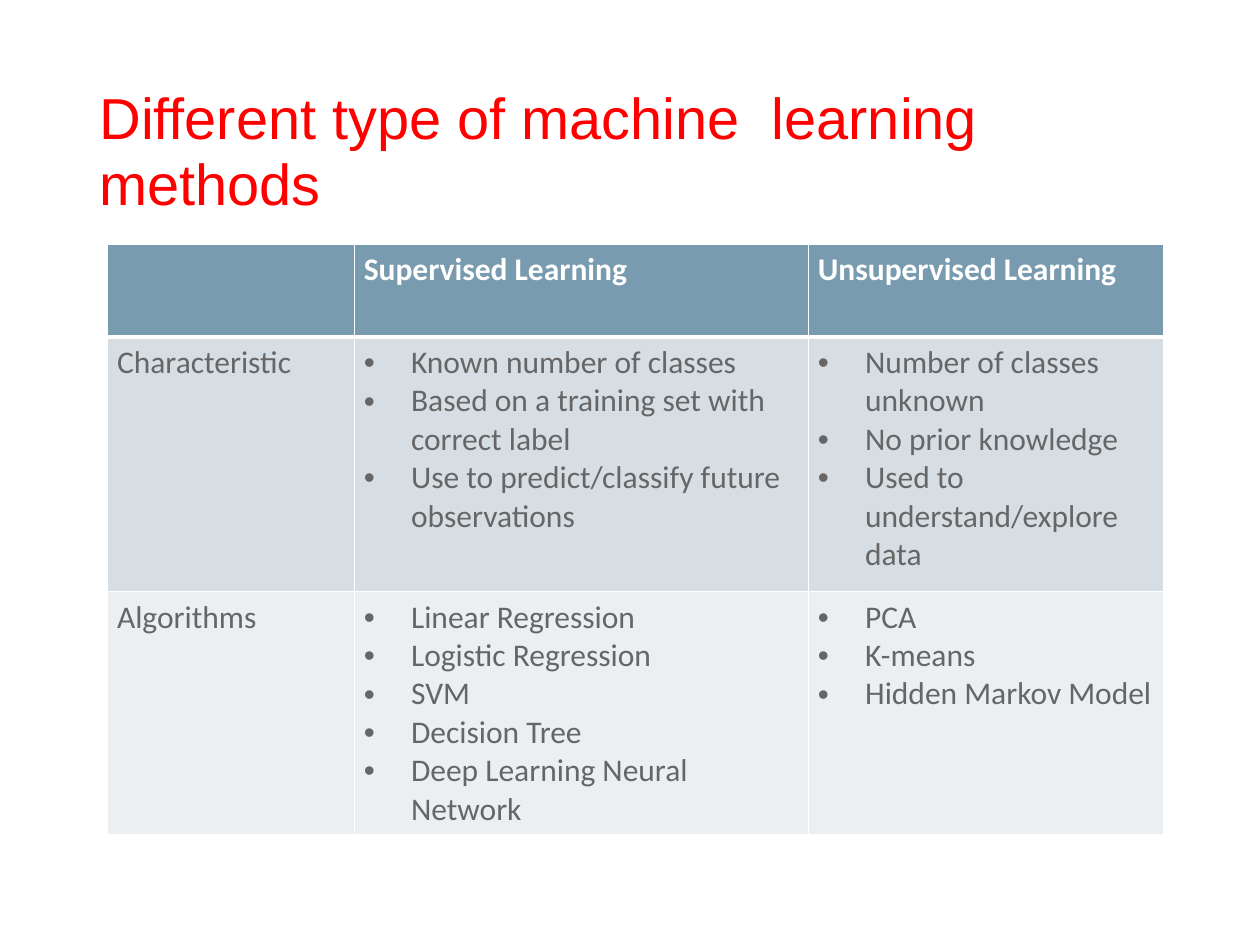
from lxml import etree
from pptx import Presentation
from pptx import util as u
from pptx.dml.color import RGBColor
from pptx.enum import text
from pptx.oxml import ns

COLORS = {"title": "FF0000", "header": "789BAF", "header_text": "FFFFFF",
          "body_text": "666666", "band_dark": "D6DEE3", "band_light": "ECEFF2",
          "rule": "FFFFFF"}

TITLE = "Different type of machine  learning methods"
HEADERS = ["", "Supervised Learning", "Unsupervised Learning"]
TOPICS = [
    ("Characteristic",
     ["Known number of classes",
      "Based on a training set with correct label",
      "Use to predict/classify future observations"],
     ["Number of classes unknown",
      "No prior knowledge",
      "Used to understand/explore data"]),
    ("Algorithms",
     ["Linear Regression", "Logistic Regression", "SVM", "Decision Tree",
      "Deep Learning Neural Network"],
     ["PCA", "K-means", "Hidden Markov Model"]),
]
ROW_FILLS = ["header", "band_dark", "band_light"]
COLUMN_WIDTHS = [141, 259.5, 203]
ROW_HEIGHTS = [53, 145.5, 137]
TABLE_LEFT, TABLE_TOP = 61.5, 139.7
BULLET_INDENT = 27

TITLE_FONT = {"name": "Arial", "size": u.Pt(33), "bold": False}
HEADER_FONT = {"name": "Calibri", "size": u.Pt(18), "bold": True}
BODY_FONT = {**HEADER_FONT, "bold": False}
TITLE_FRAME = {"word_wrap": True, "vertical_anchor": text.MSO_ANCHOR.MIDDLE}
CELL_MARGINS = {"margin_left": u.Pt(5.4), "margin_right": u.Pt(5.4),
                "margin_top": u.Pt(3.6), "margin_bottom": u.Pt(3.6)}


def apply(target, values):
    for name, value in values.items():
        setattr(target, name, value)


def write(para, words, font, color):
    para.text = words
    apply(para.font, font)
    para.font.color.rgb = RGBColor.from_string(COLORS[color])


def add_bullet(para):
    properties = para._p.get_or_add_pPr()
    properties.set("marL", str(u.Pt(BULLET_INDENT)))
    properties.set("indent", str(-u.Pt(BULLET_INDENT)))
    etree.SubElement(properties, ns.qn("a:buFont"), typeface="Arial")
    etree.SubElement(properties, ns.qn("a:buChar"), char="•")


def add_borders(cell, widths):
    properties = cell._tc.get_or_add_tcPr()
    for side, width in widths.items():
        line = etree.SubElement(properties, ns.qn(f"a:ln{side}"), w=str(u.Pt(width)))
        fill = etree.SubElement(line, ns.qn("a:solidFill"))
        etree.SubElement(fill, ns.qn("a:srgbClr"), val=COLORS["rule"])


def add_title(page):
    box = page.shapes.add_textbox(u.Pt(49.7), u.Pt(35.3), u.Pt(627.8), u.Pt(104.4))
    apply(box.text_frame, TITLE_FRAME)
    para = box.text_frame.paragraphs[0]
    para.line_spacing = 0.95
    write(para, TITLE, TITLE_FONT, "title")


def fill_cell(cell, content, row):
    apply(cell, CELL_MARGINS)
    add_borders(cell, {"L": 1, "R": 1, "T": 3 if row == 1 else 1, "B": 3 if row == 0 else 1})
    cell.fill.solid()
    cell.fill.fore_color.rgb = RGBColor.from_string(COLORS[ROW_FILLS[row]])
    font, color = (BODY_FONT, "body_text") if row else (HEADER_FONT, "header_text")
    bulleted = isinstance(content, list)
    frame = cell.text_frame
    for index, words in enumerate(content if bulleted else [content]):
        para = frame.add_paragraph() if index else frame.paragraphs[0]
        if bulleted:
            add_bullet(para)
        write(para, words, font, color)


def add_comparison(page):
    rows = [HEADERS, *TOPICS]
    table = page.shapes.add_table(
        len(rows), len(HEADERS), u.Pt(TABLE_LEFT), u.Pt(TABLE_TOP),
        u.Pt(sum(COLUMN_WIDTHS)), u.Pt(sum(ROW_HEIGHTS))).table
    for column, width in zip(table.columns, COLUMN_WIDTHS):
        column.width = u.Pt(width)
    for row, height in zip(table.rows, ROW_HEIGHTS):
        row.height = u.Pt(height)
    for row, contents in enumerate(rows):
        for column, content in enumerate(contents):
            fill_cell(table.cell(row, column), content, row)


def main():
    deck = Presentation()
    deck.slide_width, deck.slide_height = u.Pt(720), u.Pt(540)
    page = deck.slides.add_slide(deck.slide_layouts[6])
    add_comparison(page)
    add_title(page)
    deck.save("out.pptx")


if __name__ == "__main__":
    main()
